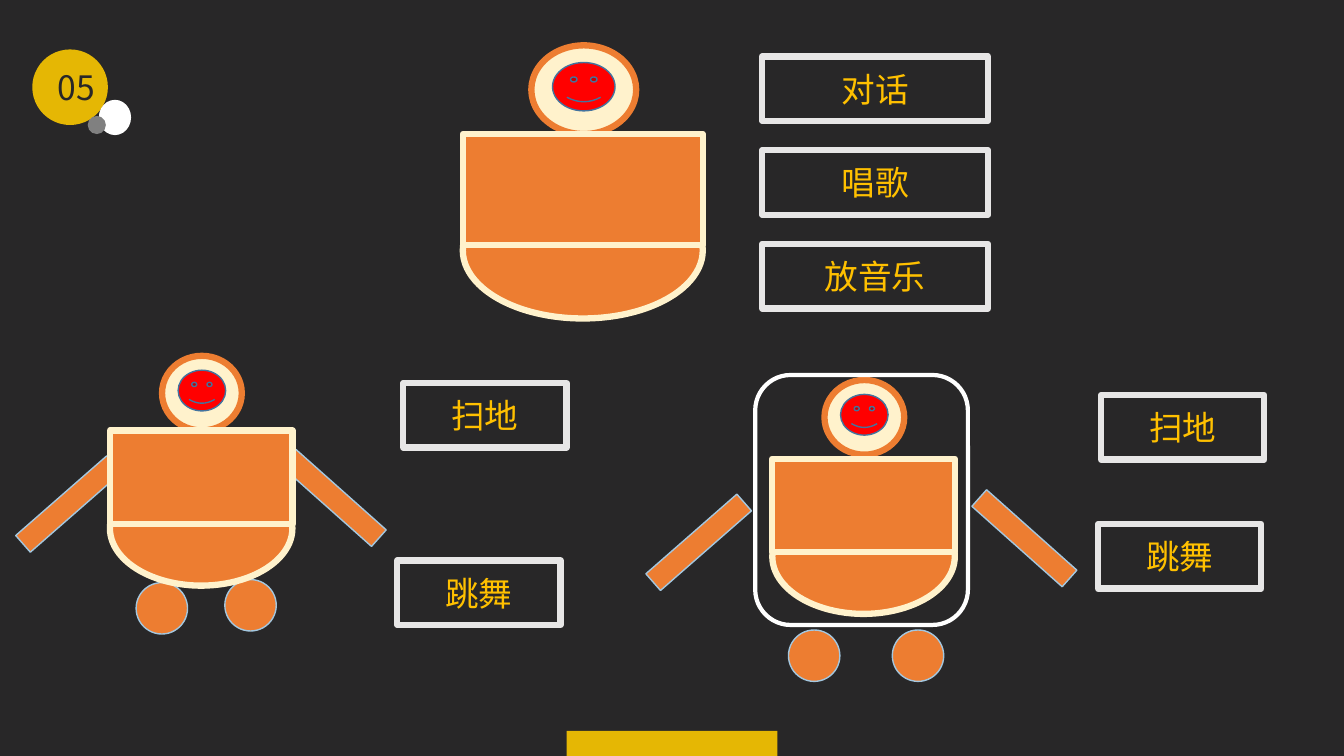
from pptx import Presentation
from pptx.dml.color import RGBColor
from pptx.enum.shapes import MSO_SHAPE as Kind
from pptx.enum.text import MSO_ANCHOR, MSO_AUTO_SIZE, PP_ALIGN
from pptx.oxml.ns import qn
from pptx.util import Inches, Pt
from lxml.etree import SubElement


class Theme:
    back, gold, white, gray = "282728", "E5B704", "FFFFFF", "808080"
    orange, cream, red = "ED7D31", "FFF2CC", "FF0000"
    pale, steel, frame, label = "A3C7E0", "43739E", "E7E6E6", "FFC000"
    font, size = "Noto Sans CJK SC", 24
    thin, mid, thick = 1, 3, 4.5


def put(slide, kind, box, fill=None, line=None, width=Theme.thin, turn=0):
    """Add one preset shape; fill or line may be left out."""
    shape = slide.shapes.add_shape(kind, *map(Inches, box))
    shape.shadow.inherit = False
    shape.rotation = turn
    if fill:
        shape.fill.solid()
        shape.fill.fore_color.rgb = RGBColor.from_string(fill)
    else:
        shape.fill.background()
    if line:
        shape.line.color.rgb = RGBColor.from_string(line)
        shape.line.width = Pt(width)
    else:
        shape.line.fill.background()
    return shape


def write(shape, text, color, left=0):
    """Set centred text in a shape or placeholder."""
    frame = shape.text_frame
    form = {"margin_left": Inches(left), "margin_right": 0, "margin_top": 0,
            "margin_bottom": 0, "word_wrap": True,
            "auto_size": MSO_AUTO_SIZE.NONE,
            "vertical_anchor": MSO_ANCHOR.MIDDLE}
    for key, value in form.items():
        setattr(frame, key, value)
    para = frame.paragraphs[0]
    para.alignment = PP_ALIGN.CENTER
    run = para.add_run()
    run.text = text
    style = {"name": Theme.font, "size": Pt(Theme.size), "bold": False}
    for key, value in style.items():
        setattr(run.font, key, value)
    run.font.color.rgb = RGBColor.from_string(color)
    SubElement(run.font._element, qn("a:ea"), typeface=Theme.font)


def body(slide, box, neck=0):
    """Head, belly, chest and face, scaled from a 2.38 by 2.71 design."""
    left, top, wide, high = box
    across, down = wide / 2.38, high / 2.71
    t = Theme
    parts = [
        (Kind.OVAL, (0.68, 0, 1.04, 0.88), t.cream, t.orange, t.thick, neck),
        (Kind.OVAL, (0, 1.36, 2.38, 1.35), t.orange, t.cream, t.thick, 0),
        (Kind.RECTANGLE, (0, 0.88, 2.38, 1.1), t.orange, t.cream, t.thick, 0),
        (Kind.SMILEY_FACE, (0.89, 0.17, 0.62, 0.48), t.red, t.steel, t.thin,
         neck)]
    for kind, (x, y, w, h), fill, line, width, lift in parts:
        place = (left + x * across, top + y * down - lift,
                 w * across, h * down)
        put(slide, kind, place, fill, line, width)


def robot(slide, box, arms, wheels, neck=0):
    """Body with two arms and two wheels, offset from the box corner."""
    left, top = box[:2]
    for (x, y), turn in zip(arms, (318.8, 41.7)):
        put(slide, Kind.RECTANGLE, (left + x, top + y, 1.2, 0.22),
            Theme.orange, Theme.pale, turn=turn)
    for x, y in wheels:
        put(slide, Kind.OVAL, (left + x, top + y, 0.51, 0.51),
            Theme.orange, Theme.pale)
    body(slide, box, neck)


def case(slide, box):
    """Rounded outline around a robot body."""
    left, top = box[:2]
    put(slide, Kind.ROUNDED_RECTANGLE, (left - 0.17, top - 0.09, 2.11, 2.48),
        line=Theme.white, width=Theme.mid)


def skills(slide, box, words, step, shift=0):
    """Column of framed labels; box is the first one."""
    left, top, wide, high = box
    for i, word in enumerate(words):
        shape = put(slide, Kind.RECTANGLE,
                    (left + i * shift, top + i * step, wide, high),
                    line=Theme.frame, width=Theme.thick)
        write(shape, word, Theme.label)


def badge(slide, box, text):
    """Section number: the title over a gold disc with two dots."""
    left, top = box[:2]
    put(slide, Kind.OVAL, box, Theme.gold)
    title = slide.shapes.title
    for key, value in zip(("left", "top", "width", "height"), box):
        setattr(title, key, Inches(value))
    write(title, text, Theme.back, left=0.12)
    slide.shapes._spTree.append(title._element)
    put(slide, Kind.OVAL, (left + 0.66, top + 0.5, 0.32, 0.35), Theme.white)
    put(slide, Kind.OVAL, (left + 0.55, top + 0.66, 0.18, 0.18), Theme.gray)


def main():
    deck = Presentation()
    deck.slide_width, deck.slide_height = Inches(13.33), Inches(7.5)
    slide = deck.slides.add_slide(deck.slide_layouts[5])
    slide.background.fill.solid()
    slide.background.fill.fore_color.rgb = RGBColor.from_string(Theme.back)

    # Footer tab
    put(slide, Kind.RECTANGLE, (5.62, 7.25, 2.09, 0.25), Theme.gold)

    # Talking robot
    body(slide, (4.59, 0.45, 2.38, 2.71))
    skills(slide, (7.56, 0.56, 2.24, 0.64), ["对话", "唱歌", "放音乐"], 0.93)

    # Moving robot
    moves = ["扫地", "跳舞"]
    robot(slide, (1.09, 3.53, 1.81, 2.28), [(-1.01, 1.36), (1.62, 1.3)],
          [(0.26, 2.25), (1.14, 2.22)])
    skills(slide, (4, 3.8, 1.62, 0.64), moves, 1.76, -0.06)

    # Moving robot with its body cased
    core = (7.66, 3.81, 1.81, 2.28)
    robot(slide, core, [(-1.33, 1.46), (1.9, 1.42)],
          [(0.16, 2.44), (1.19, 2.44)], neck=0.04)
    case(slide, core)
    skills(slide, (10.92, 3.92, 1.62, 0.64), moves, 1.28, -0.03)

    # Section number
    badge(slide, (0.32, 0.49, 0.75, 0.75), "05")
    deck.save("out.pptx")


main()
